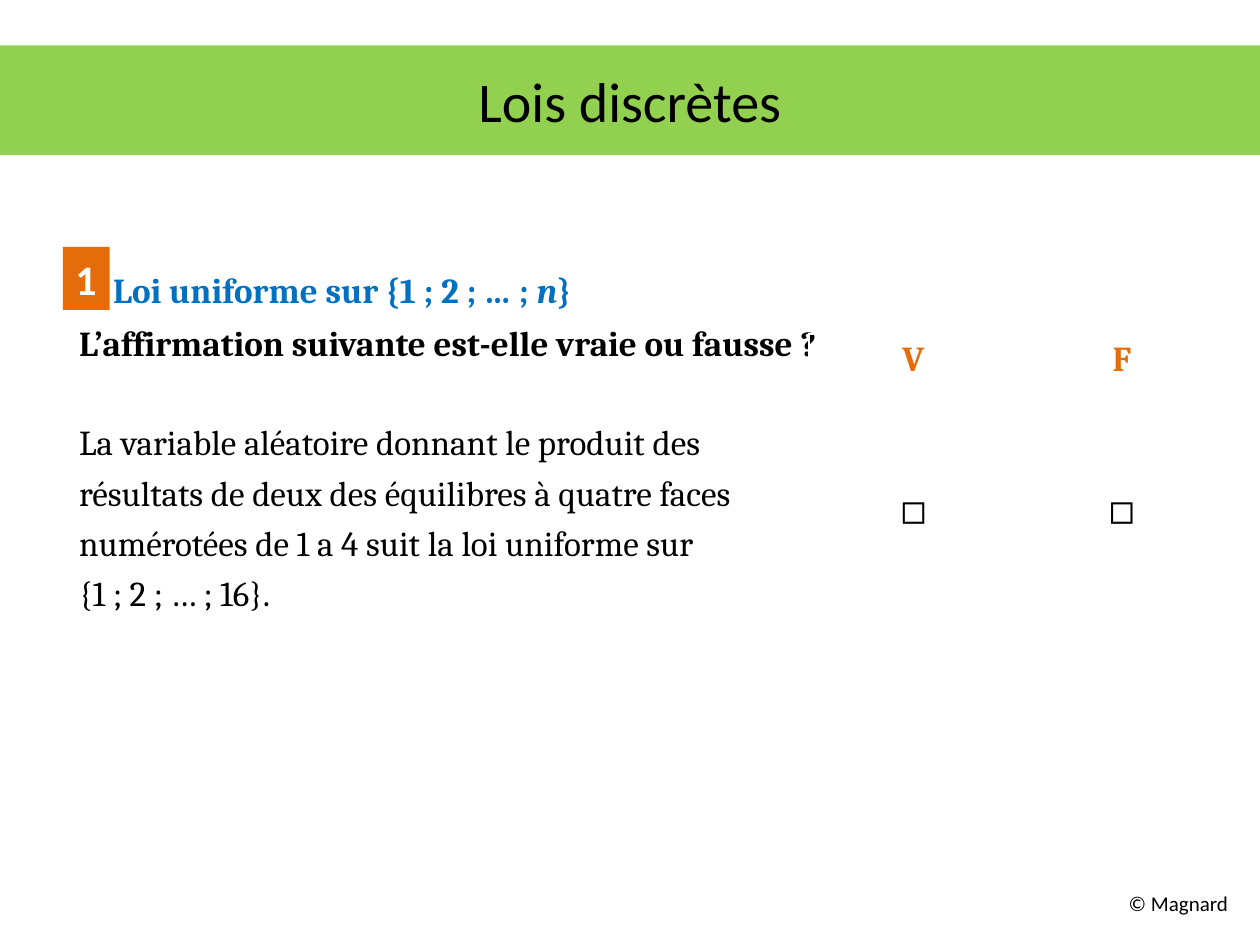
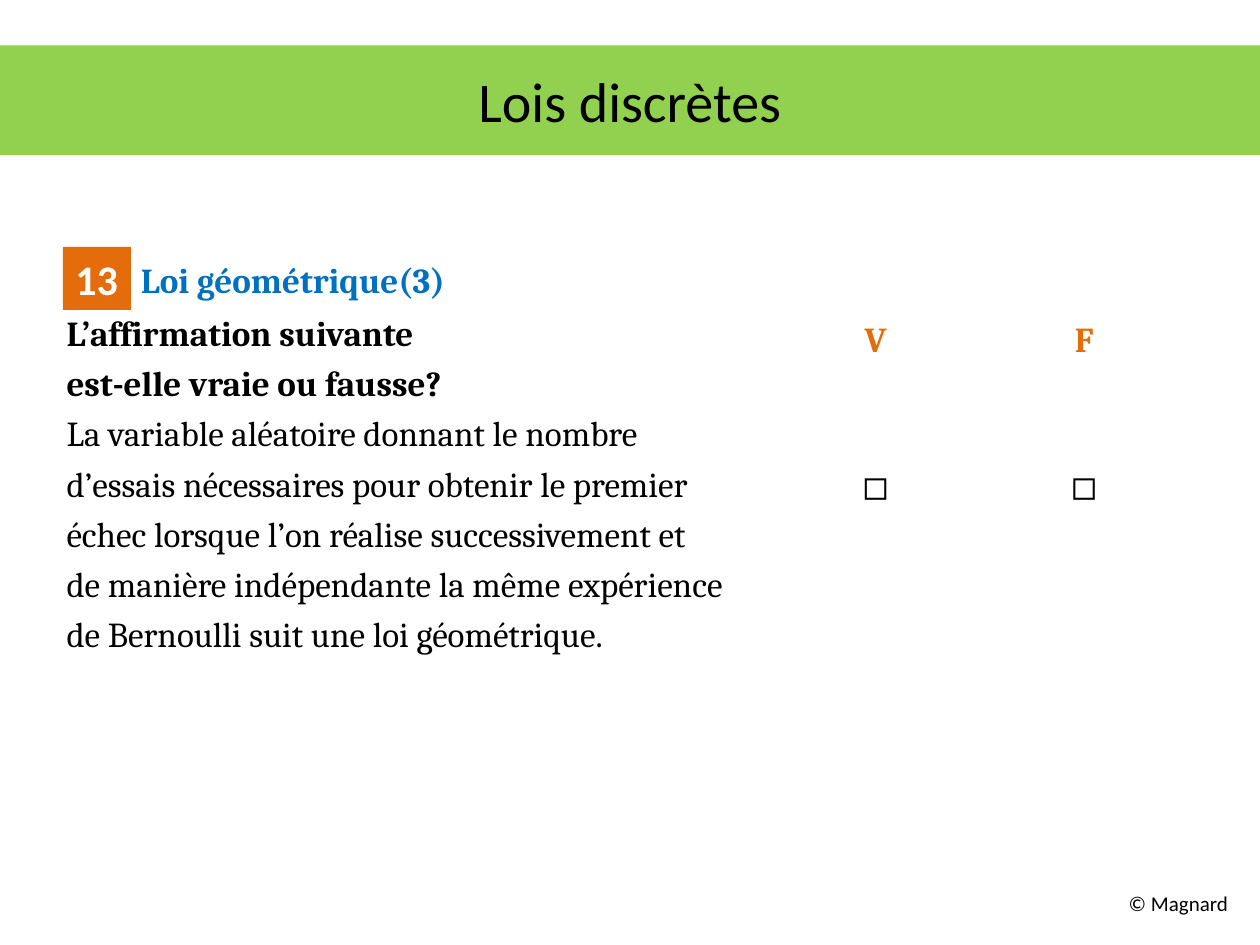
from pptx import Presentation
from pptx.dml.color import RGBColor
from pptx.enum.shapes import MSO_SHAPE
from pptx.enum.text import MSO_ANCHOR, PP_ALIGN
from pptx.util import Inches, Pt

COLORS = {
    "band": "92D050",
    "accent": "E46C0A",
    "heading": "0070C0",
    "text": "000000",
    "light": "FFFFFF",
}
SANS, SERIF = "Calibri", "Cambria"
LINE_GAP = 4.7      # space before a statement line, in points
HEADING_GAP = 6.3   # space between heading and question
BLOCK_GAP = 32.8    # one empty line between question and statement

QUESTIONS = [
    {
        "number": "1",
        "badge_width": 0.37,
        "body_at": (0.53, 1.94),
        "heading_indent": 0.27,
        "heading": [("Loi uniforme sur {1 ; 2 ; … ; ", False), ("n", True), ("}", False)],
        "prompt": ["L’affirmation suivante est-elle vraie ou fausse ?"],
        "statement": [
            "La variable aléatoire donnant le produit des",
            "résultats de deux des équilibres à quatre faces",
            "numérotées de 1 a 4 suit la loi uniforme sur",
            "{1 ; 2 ; … ; 16}.",
        ],
        "statement_gap": BLOCK_GAP,
        "table_at": (6.42, 2.65),
        "row_heights": (0.8, 1.22, 1.21),
    },
    {
        "number": "13",
        "badge_width": 0.54,
        "body_at": (0.43, 1.86),
        "heading_indent": 0.59,
        "heading": [("Loi géométrique(3)", False)],
        "prompt": ["L’affirmation suivante", "est-elle vraie ou fausse?"],
        "statement": [
            "La variable aléatoire donnant le nombre",
            "d’essais nécessaires pour obtenir le premier",
            "échec lorsque l’on réalise successivement et",
            "de manière indépendante la même expérience",
            "de Bernoulli suit une loi géométrique.",
        ],
        "statement_gap": LINE_GAP,
        "table_at": (6.12, 2.5),
        "row_heights": (0.8, 1.14, 0.96),
    },
]


def rgb(name):
    return RGBColor.from_string(COLORS[name])


def add_span(para, text, size=20, font=SERIF, color="text", bold=False, italic=False):
    span = para.add_run()
    span.text = text
    span.font.size = Pt(size)
    span.font.name = font
    span.font.color.rgb = rgb(color)
    span.font.bold = bold
    span.font.italic = italic


def add_text_box(page, left, top, width, height, inset_top, wrap=True):
    frame = page.shapes.add_textbox(
        Inches(left), Inches(top), Inches(width), Inches(height)).text_frame
    frame.word_wrap = wrap
    frame.margin_top = Inches(inset_top)
    return frame


def add_block(page, left, top, width, height, fill):
    block = page.shapes.add_shape(
        MSO_SHAPE.RECTANGLE, Inches(left), Inches(top), Inches(width), Inches(height))
    block.shadow.inherit = False
    block.fill.solid()
    block.fill.fore_color.rgb = rgb(fill)
    block.line.fill.background()
    return block.text_frame


def add_title_band(page, title):
    frame = add_block(page, 0, 0.36, 10, 0.87, "band")
    frame.vertical_anchor = MSO_ANCHOR.MIDDLE
    para = frame.paragraphs[0]
    para.alignment = PP_ALIGN.CENTER
    add_span(para, title, size=32, font=SANS)


def add_footer(page):
    frame = add_text_box(page, 8.86, 6.94, 1.05, 0.4, inset_top=0.13, wrap=False)
    add_span(frame.paragraphs[0], "© Magnard", size=12, font=SANS)


def add_badge(page, number, width):
    frame = add_block(page, 0.5, 1.96, width, 0.5, "accent")
    frame.word_wrap = False
    frame.vertical_anchor = MSO_ANCHOR.TOP
    para = frame.paragraphs[0]
    para.alignment = PP_ALIGN.LEFT
    add_span(para, number, size=24, font=SANS, color="light", bold=True)


def add_body(page, question):
    frame = add_text_box(page, *question["body_at"], 9, 4.95, inset_top=0.19)

    # Heading, set to the right of the badge
    heading = frame.paragraphs[0]
    heading_props = heading._p.get_or_add_pPr()
    heading_props.set("marL", str(Inches(question["heading_indent"])))
    for text, italic in question["heading"]:
        add_span(heading, text, color="heading", bold=True, italic=italic)

    # Prompt in bold, then the statement
    parts = [(question["prompt"], HEADING_GAP, True),
             (question["statement"], question["statement_gap"], False)]
    for lines, first_gap, bold in parts:
        for index, line in enumerate(lines):
            para = frame.add_paragraph()
            para.space_before = Pt(LINE_GAP if index else first_gap)
            add_span(para, line, bold=bold)


def add_answer_table(page, left, top, row_heights):
    table = page.shapes.add_table(
        len(row_heights), 2, Inches(left), Inches(top),
        Inches(3.31), Inches(sum(row_heights))).table
    table.first_row = table.horz_banding = False
    for column, width in zip(table.columns, (1.66, 1.65)):
        column.width = Inches(width)
    for row, height in zip(table.rows, row_heights):
        row.height = Inches(height)
    for cell in table.iter_cells():
        cell.fill.background()

    # Answer letters above their tick boxes
    for column, letter in enumerate("VF"):
        header, tick = table.cell(0, column), table.cell(1, column)
        tick.vertical_anchor = MSO_ANCHOR.MIDDLE
        for cell in (header, tick):
            cell.text_frame.paragraphs[0].alignment = PP_ALIGN.CENTER
        add_span(header.text_frame.paragraphs[0], letter, color="accent", bold=True)
        add_span(tick.text_frame.paragraphs[0], "◻", size=24, font=SANS)


def add_question_slide(deck, question):
    page = deck.slides.add_slide(deck.slide_layouts[6])
    add_footer(page)
    add_body(page, question)
    add_badge(page, question["number"], question["badge_width"])
    add_title_band(page, "Lois discrètes")
    add_answer_table(page, *question["table_at"], question["row_heights"])


def main():
    deck = Presentation()
    deck.slide_width, deck.slide_height = Inches(10), Inches(7.5)
    for question in QUESTIONS:
        add_question_slide(deck, question)
    deck.save("out.pptx")


if __name__ == "__main__":
    main()
